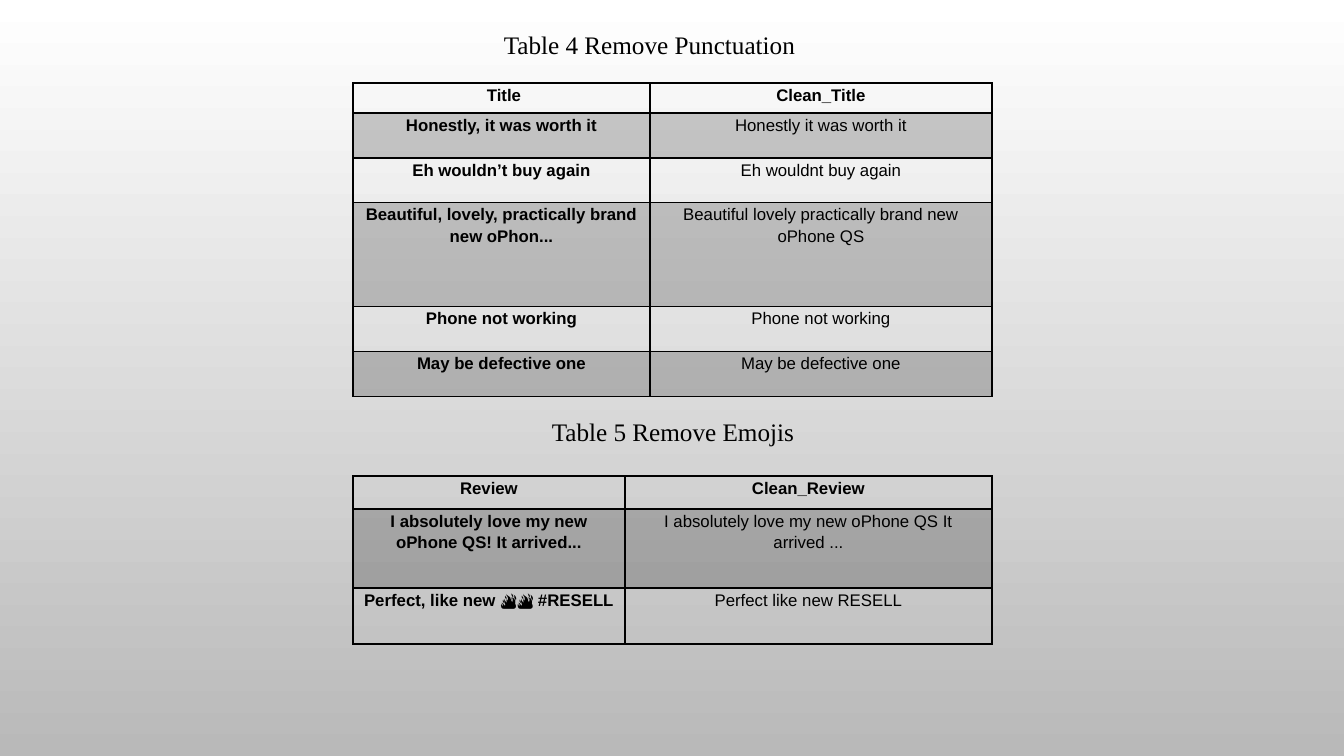
from dataclasses import dataclass

import pptx
import pptx.dml.color
import pptx.enum.text
import pptx.oxml
import pptx.oxml.ns
import pptx.util

EMU_PER_PX = 914400 / 100.8
COLORS = {"ink": "000000", "sky": "FFFFFF", "ground": "B9B9B9"}
BAND_OPACITY = 20
THIN, THICK = 1, 2


@dataclass
class Caption:
    text: str
    left: int
    top: int
    width: int
    height: int
    margins: tuple[int, int]


@dataclass
class CleaningTable:
    top: int
    columns: list[int]
    row_heights: list[int]
    rows: list[tuple[str, str]]
    left: int = 353
    first_indent: int = 0


PUNCTUATION_CAPTION = Caption("Table 4 Remove Punctuation", 179, 24, 941, 40, (10, 5))
EMOJI_CAPTION = Caption("Table 5 Remove Emojis", 550, 416, 246, 30, (0, 0))

CLEANING_TABLES = [
    CleaningTable(83, [297, 342], [30, 45, 45, 104, 45, 45], [
        ("Title", "Clean_Title"),
        ("Honestly, it was worth it", "Honestly it was worth it"),
        ("Eh wouldn’t buy again", "Eh wouldnt buy again"),
        ("Beautiful, lovely, practically brand new oPhon...",
         "Beautiful lovely practically brand new oPhone QS"),
        ("Phone not working", "Phone not working"),
        ("May be defective one", "May be defective one"),
    ], first_indent=5),
    CleaningTable(476, [272, 367], [33, 79, 56], [
        ("Review", "Clean_Review"),
        ("I absolutely love my new oPhone QS! It arrived...",
         "I absolutely love my new oPhone QS It arrived ..."),
        ("Perfect, like new 🔥🔥 #RESELL", "Perfect like new RESELL"),
    ]),
]


def px(length: int) -> pptx.util.Emu:
    return pptx.util.Emu(round(length * EMU_PER_PX))


def rgb(name: str) -> pptx.dml.color.RGBColor:
    return pptx.dml.color.RGBColor.from_string(COLORS[name])


def format_text(paragraph, font_name: str, size: int, bold: bool) -> None:
    paragraph.alignment = pptx.enum.text.PP_ALIGN.CENTER
    for run in paragraph.runs:
        run.font.name = font_name
        run.font.size = pptx.util.Pt(size)
        run.font.bold = bold
        run.font.color.rgb = rgb("ink")


def write_caption(holder, caption: Caption) -> None:
    holder.left, holder.top = px(caption.left), px(caption.top)
    holder.width, holder.height = px(caption.width), px(caption.height)
    frame = holder.text_frame
    frame.text = caption.text
    frame.word_wrap = True
    frame.auto_size = pptx.enum.text.MSO_AUTO_SIZE.NONE
    frame.vertical_anchor = pptx.enum.text.MSO_ANCHOR.TOP
    side, end = caption.margins
    frame.margin_left = frame.margin_right = px(side)
    frame.margin_top = frame.margin_bottom = px(end)
    format_text(frame.paragraphs[0], "Times New Roman", 18, False)


def add_borders(cell_properties, row: int) -> None:
    """Rule all four sides, heavier between the header and the body."""
    widths = {"L": THIN, "R": THIN,
              "T": THICK if row == 1 else THIN,
              "B": THICK if row == 0 else THIN}
    for side, width in widths.items():
        cell_properties.append(pptx.oxml.parse_xml(
            f'<a:ln{side} {pptx.oxml.ns.nsdecls("a")} w="{pptx.util.Pt(width)}">'
            f'<a:solidFill><a:srgbClr val="{COLORS["ink"]}"/></a:solidFill>'
            f'</a:ln{side}>'))


def fill_band(cell, cell_properties) -> None:
    """Shade the cell with translucent ink so the background shows through."""
    cell.fill.solid()
    cell.fill.fore_color.rgb = rgb("ink")
    color = cell_properties.find("a:solidFill/a:srgbClr",
                                 {"a": pptx.oxml.ns.nsuri("a")})
    color.append(pptx.oxml.parse_xml(
        f'<a:alpha {pptx.oxml.ns.nsdecls("a")} val="{BAND_OPACITY * 1000}"/>'))


def write_cell(cell, text: str, row: int, column: int) -> None:
    cell.text = text
    cell.margin_left = cell.margin_right = px(7)
    cell.margin_top = cell.margin_bottom = 0
    paragraph = cell.text_frame.paragraphs[0]
    paragraph.line_spacing = 1.15
    format_text(paragraph, "Arial", 12, row == 0 or column == 0)

    cell_properties = cell._tc.get_or_add_tcPr()
    add_borders(cell_properties, row)
    if row % 2:
        fill_band(cell, cell_properties)
    else:
        cell.fill.background()


def add_cleaning_table(slide, spec_table: CleaningTable) -> None:
    table = slide.shapes.add_table(
        len(spec_table.rows), len(spec_table.columns),
        px(spec_table.left), px(spec_table.top),
        px(sum(spec_table.columns)), px(sum(spec_table.row_heights))).table
    table.first_row = table.horz_banding = False
    for column, width in zip(table.columns, spec_table.columns):
        column.width = px(width)
    for row, height in zip(table.rows, spec_table.row_heights):
        row.height = px(height)
    for row, texts in enumerate(spec_table.rows):
        for column, text in enumerate(texts):
            write_cell(table.cell(row, column), text, row, column)
    if spec_table.first_indent:
        first = table.cell(0, 0).text_frame.paragraphs[0]
        first._p.get_or_add_pPr().set("marL", str(px(spec_table.first_indent)))


def paint_background(slide) -> None:
    fill = slide.background.fill
    fill.gradient()
    fill.gradient_angle = 270
    for stop, name in zip(fill.gradient_stops, ("sky", "ground")):
        stop.color.rgb = rgb(name)


def main() -> None:
    deck = pptx.Presentation()
    deck.slide_width, deck.slide_height = px(1344), px(756)
    slide = deck.slides.add_slide(deck.slide_layouts.get_by_name("Title Only"))
    paint_background(slide)
    write_caption(slide.shapes.title, PUNCTUATION_CAPTION)
    write_caption(slide.shapes.add_textbox(0, 0, 0, 0), EMOJI_CAPTION)
    for cleaning_table in CLEANING_TABLES:
        add_cleaning_table(slide, cleaning_table)
    deck.save("out.pptx")


if __name__ == "__main__":
    main()
